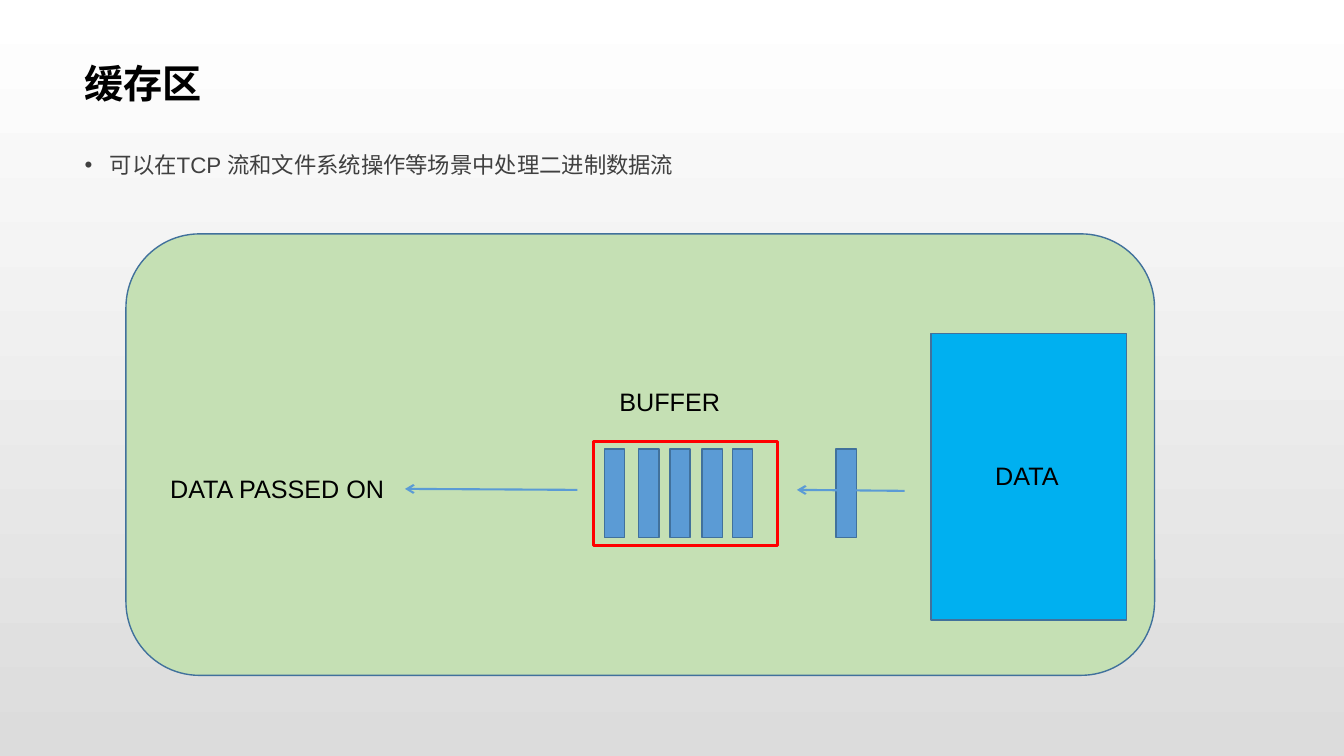
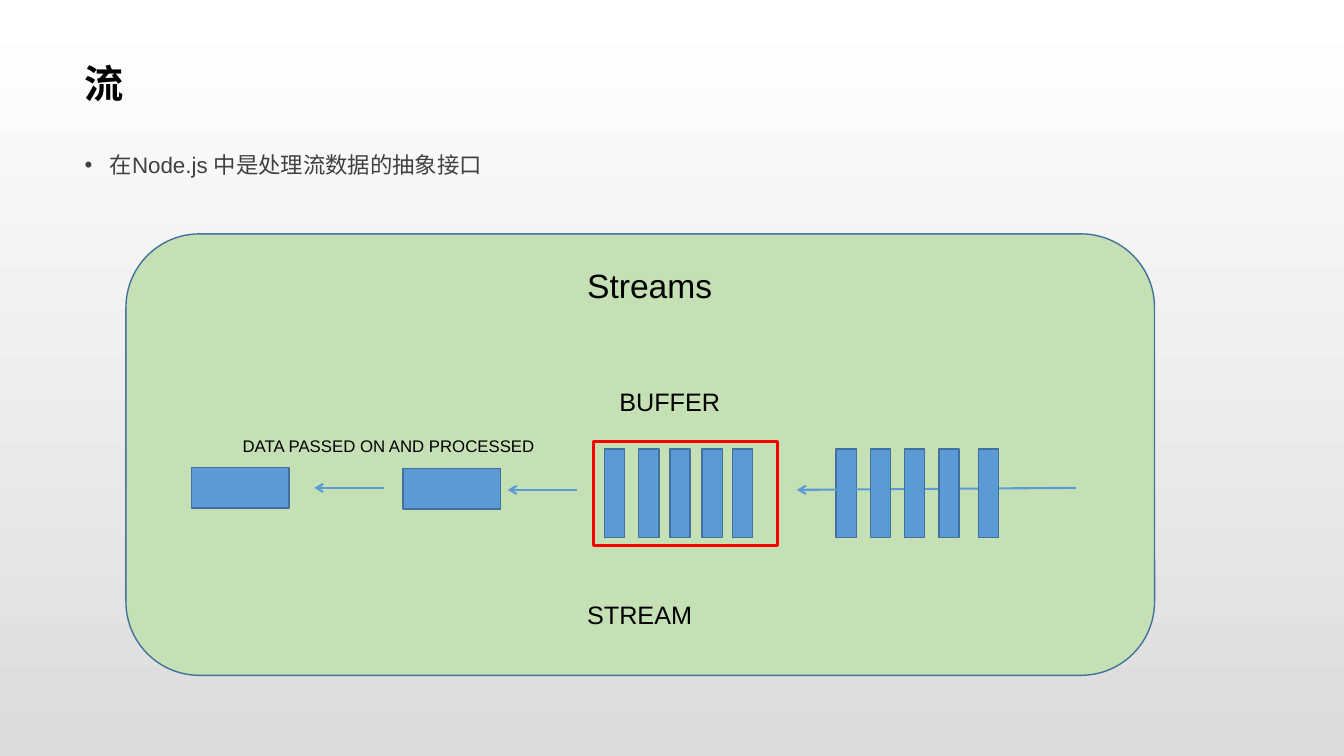
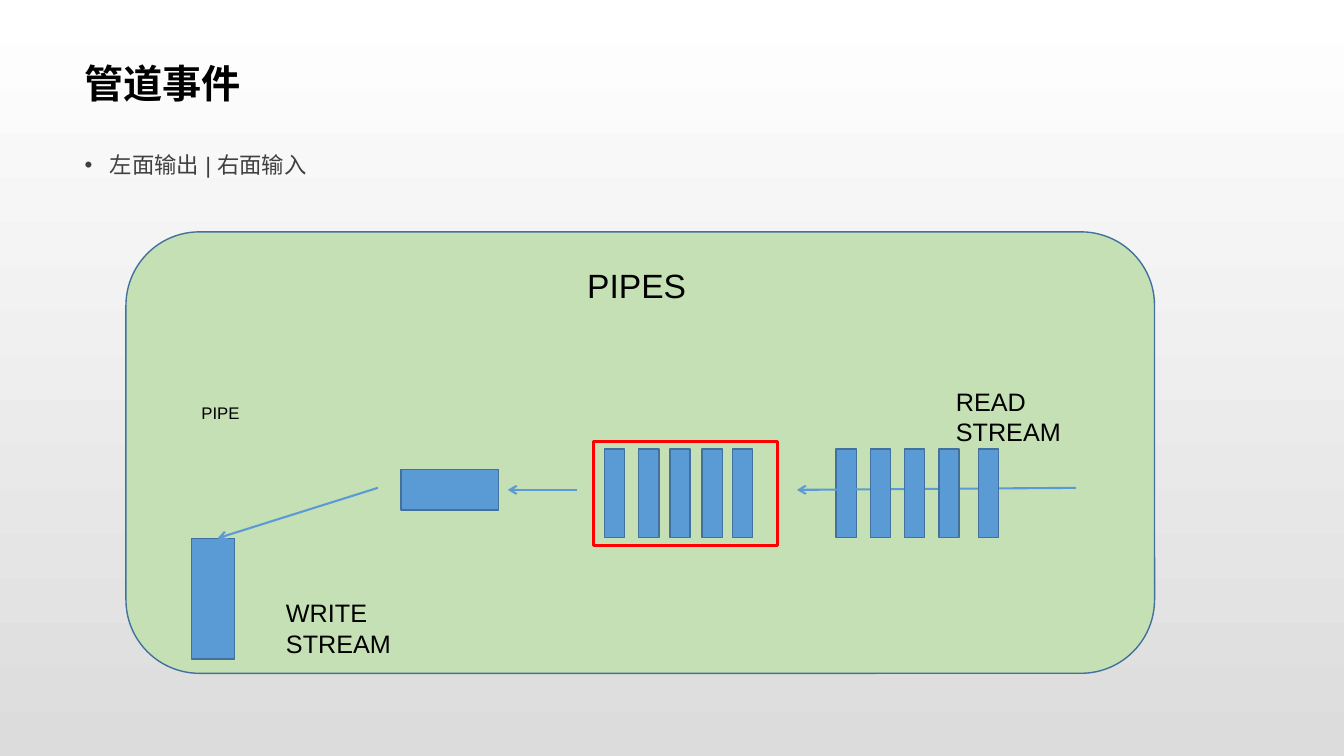
from dataclasses import dataclass

from lxml.etree import SubElement
from pptx import Presentation
from pptx.dml.color import RGBColor
from pptx.enum.shapes import MSO_CONNECTOR as Connector, MSO_SHAPE as Shape
from pptx.enum.text import MSO_ANCHOR as Anchor, MSO_AUTO_SIZE as AutoSize
from pptx.oxml.ns import qn
from pptx.util import Inches, Pt

SLIDE_W, SLIDE_H = Inches(13.34), Inches(7.5)
COLUMNS, ROWS = 133.4, 75
FONT = "Arial"
COLORS = {
    "sky": "FFFFFF",
    "ground": "DCDCDC",
    "panel": "C5E0B4",
    "outline": "41719C",
    "chunk": "5B9BD5",
    "source": "00B0F0",
    "buffer": "FF0000",
    "ink": "000000",
    "body": "404040",
}
CHUNK_W, CHUNK_H = 2, 8.8
BUFFERED = (1.1, 4.5, 7.6, 10.8, 13.8)
INCOMING = (0, 3.4, 6.8, 10.2, 14.1)


def color(name):
    return RGBColor.from_string(COLORS[name])


def across(columns):
    return round(SLIDE_W * columns / COLUMNS)


def down(rows):
    return round(SLIDE_H * rows / ROWS)


@dataclass(frozen=True)
class Box:
    left: float
    top: float
    width: float
    height: float

    def inner(self, left, top, width, height):
        return Box(self.left + left, self.top + top, width, height)

    def point(self, x, y):
        return across(self.left + x), down(self.top + y)

    def emu(self):
        return across(self.left), down(self.top), across(self.width), down(self.height)


TITLE = Box(7.3, 4.7, 118.7, 7.1)
SUMMARY = Box(7.3, 14.2, 118.7, 55.1)
STAGE = Box(12.5, 23.2, 102.1, 43.8)
BUFFER = STAGE.inner(46.4, 20.6, 18.3, 10.3)
QUEUE = STAGE.inner(70.5, 21.35, 16.1, CHUNK_H)


def add_block(slide, box, fill="chunk", outline="outline", weight=1, kind=Shape.RECTANGLE):
    block = slide.shapes.add_shape(kind, *box.emu())
    block.shadow.inherit = False
    block.fill.solid()
    block.fill.fore_color.rgb = color(fill)
    block.line.color.rgb = color(outline)
    block.line.width = Pt(weight)


def add_arrow(slide, box, start, end):
    arrow = slide.shapes.add_connector(Connector.STRAIGHT, *box.point(*start), *box.point(*end))
    arrow.line.color.rgb = color("chunk")
    arrow.line.width = Pt(1.5)
    properties = arrow._element.spPr
    SubElement(properties.find(qn("a:ln")), qn("a:tailEnd"), type="arrow")
    SubElement(properties, qn("a:effectLst"))


def add_run(paragraph, text, size, ink="ink", bold=False):
    run = paragraph.add_run()
    run.text = text
    run.font.size = Pt(size)
    run.font.bold = bold
    run.font.name = FONT
    run.font.color.rgb = color(ink)
    SubElement(run._r.get_or_add_rPr(), qn("a:ea"), typeface=FONT)


def add_label(slide, box, text, size=18):
    frame = slide.shapes.add_textbox(*box.emu()).text_frame
    frame.word_wrap = False
    frame.auto_size = AutoSize.SHAPE_TO_FIT_TEXT
    add_run(frame.paragraphs[0], text, size)


def add_area(slide, box, insets, anchor):
    frame = slide.shapes.add_textbox(*box.emu()).text_frame
    frame.word_wrap = True
    frame.vertical_anchor = anchor
    frame.margin_left, frame.margin_top, frame.margin_right, frame.margin_bottom = map(Inches, insets)
    return frame.paragraphs[0]


def add_title(slide, box, text):
    heading = add_area(slide, box, (0.11, 0.04, 0.08, 0.04), Anchor.MIDDLE)
    add_run(heading, text, 28, bold=True)


def add_summary(slide, box, text):
    point = add_area(slide, box, (0.11, 0, 0.09, 0), Anchor.TOP)
    point.line_spacing = 1.3
    point.space_after = Pt(10)
    properties = point._p.get_or_add_pPr()
    properties.set("marL", str(Inches(0.25)))
    properties.set("indent", str(-Inches(0.25)))
    tint = SubElement(properties, qn("a:buClr"))
    SubElement(tint, qn("a:srgbClr"), val=COLORS["body"])
    SubElement(properties, qn("a:buFont"), typeface=FONT)
    SubElement(properties, qn("a:buChar"), char="•")
    add_run(point, text, 16, ink="body")


def add_chunks(slide, box, top, offsets):
    for offset in offsets:
        add_block(slide, box.inner(offset, top, CHUNK_W, CHUNK_H))


def add_buffer(slide, box):
    add_block(slide, box, "panel", "buffer", 2.25)
    add_chunks(slide, box, 0.75, BUFFERED)


def add_queue(slide, box, offsets, start):
    add_chunks(slide, box, 0, offsets[:1])
    add_arrow(slide, box, start, (-3.9, 4.05))
    add_chunks(slide, box, 0, offsets[1:])


def add_page(deck, title, summary, lift=0):
    slide = deck.slides.add_slide(deck.slide_layouts[6])
    panel = STAGE.inner(0, -lift, STAGE.width, STAGE.height)
    add_block(slide, panel, "panel", kind=Shape.ROUNDED_RECTANGLE)
    add_title(slide, TITLE, title)
    add_summary(slide, SUMMARY, summary)
    return slide


def build_buffer_page(deck, stage):
    slide = add_page(deck, "缓存区", "可以在TCP 流和文件系统操作等场景中处理二进制数据流")
    add_block(slide, stage.inner(79.9, 9.9, 19.4, 28.4), "source")
    add_label(slide, stage.inner(85.3, 22, 8.6, 4), "DATA")
    add_buffer(slide, BUFFER)
    add_arrow(slide, stage, (44.8, 25.4), (27.7, 25.3))
    add_label(slide, stage.inner(3.4, 23.3, 23.9, 4), "DATA PASSED ON")
    add_queue(slide, QUEUE, INCOMING[:1], (6.8, 4.15))
    add_label(slide, stage.inner(48, 14.6, 12, 4), "BUFFER")


def add_stream(slide, stage, heading, heading_width):
    add_buffer(slide, BUFFER)
    add_arrow(slide, stage, (44.8, 25.4), (37.9, 25.4))
    add_queue(slide, QUEUE, INCOMING, (23.8, 3.85))
    add_label(slide, stage.inner(44.8, 2.6, heading_width, 5), heading, 24)


def build_stream_page(deck, stage):
    slide = add_page(deck, "流", "在Node.js 中是处理流数据的抽象接口")
    add_stream(slide, stage, "Streams", 14.4)
    add_label(slide, stage.inner(10.6, 19.5, 31.5, 3), "DATA PASSED ON AND PROCESSED", 12)
    add_label(slide, stage.inner(48, 14.6, 12, 4), "BUFFER")
    add_label(slide, stage.inner(44.8, 35.8, 12.4, 4), "STREAM")
    add_block(slide, stage.inner(27.5, 23.3, 9.7, 4))
    add_block(slide, stage.inner(6.5, 23.2, 9.7, 4))
    add_arrow(slide, stage, (25.6, 25.2), (18.7, 25.2))


def build_pipe_page(deck, stage):
    slide = add_page(deck, "管道事件", "左面输出 | 右面输入", lift=0.2)
    add_stream(slide, stage, "PIPES", 11.8)
    add_label(slide, stage.inner(6.5, 16.3, 5.8, 3), "PIPE", 12)
    add_label(slide, stage.inner(14.9, 35.6, 21.1, 4), "WRITE STREAM")
    add_block(slide, stage.inner(27.3, 23.4, 9.7, 4))
    add_block(slide, stage.inner(6.5, 30.2, 4.3, 12))
    add_arrow(slide, stage, (25, 25.2), (9.1, 30.2))
    add_label(slide, stage.inner(81.4, 14.6, 20, 4), "READ STREAM")


def paint_background(master):
    fill = master.background.fill
    fill.gradient()
    fill.gradient_angle = 270
    for stop, name in zip(fill.gradient_stops, ("sky", "ground")):
        stop.color.rgb = color(name)


def main():
    deck = Presentation()
    deck.slide_width, deck.slide_height = SLIDE_W, SLIDE_H
    paint_background(deck.slide_master)
    for build in (build_buffer_page, build_stream_page, build_pipe_page):
        build(deck, STAGE)
    deck.save("out.pptx")


if __name__ == "__main__":
    main()
